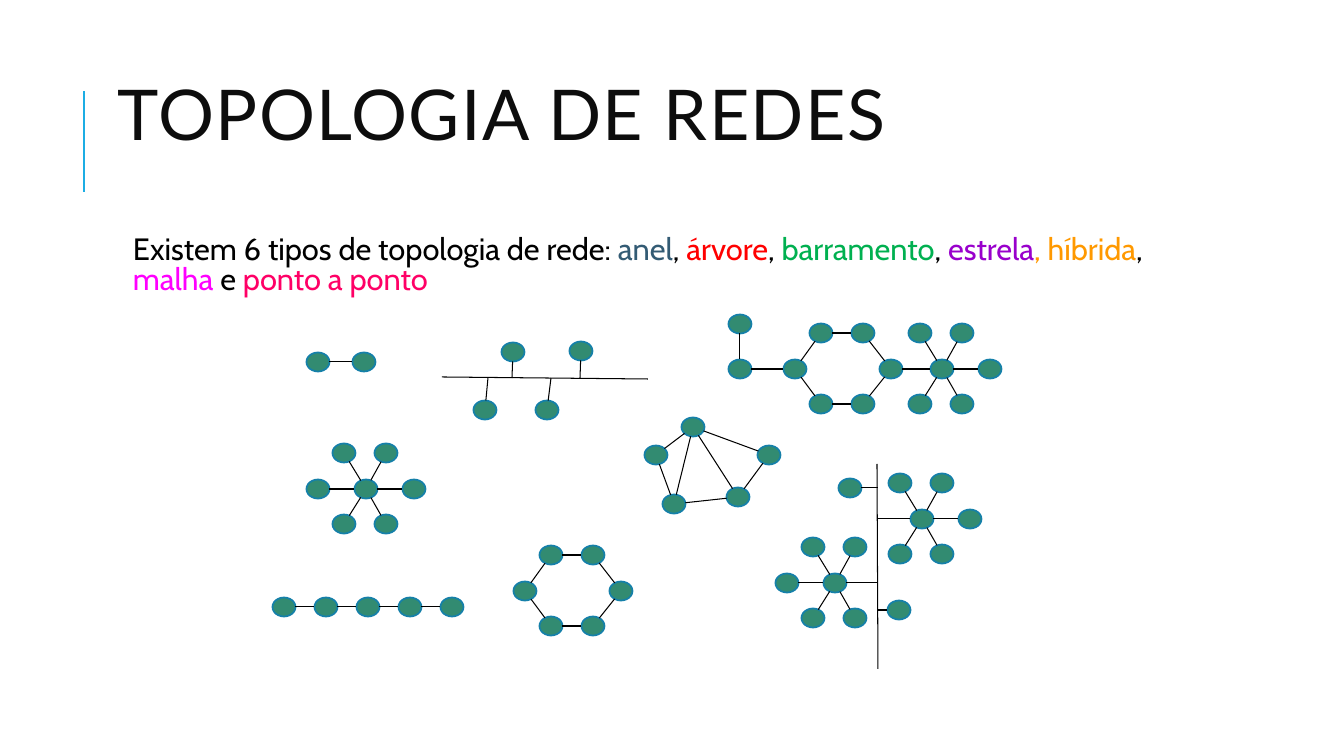
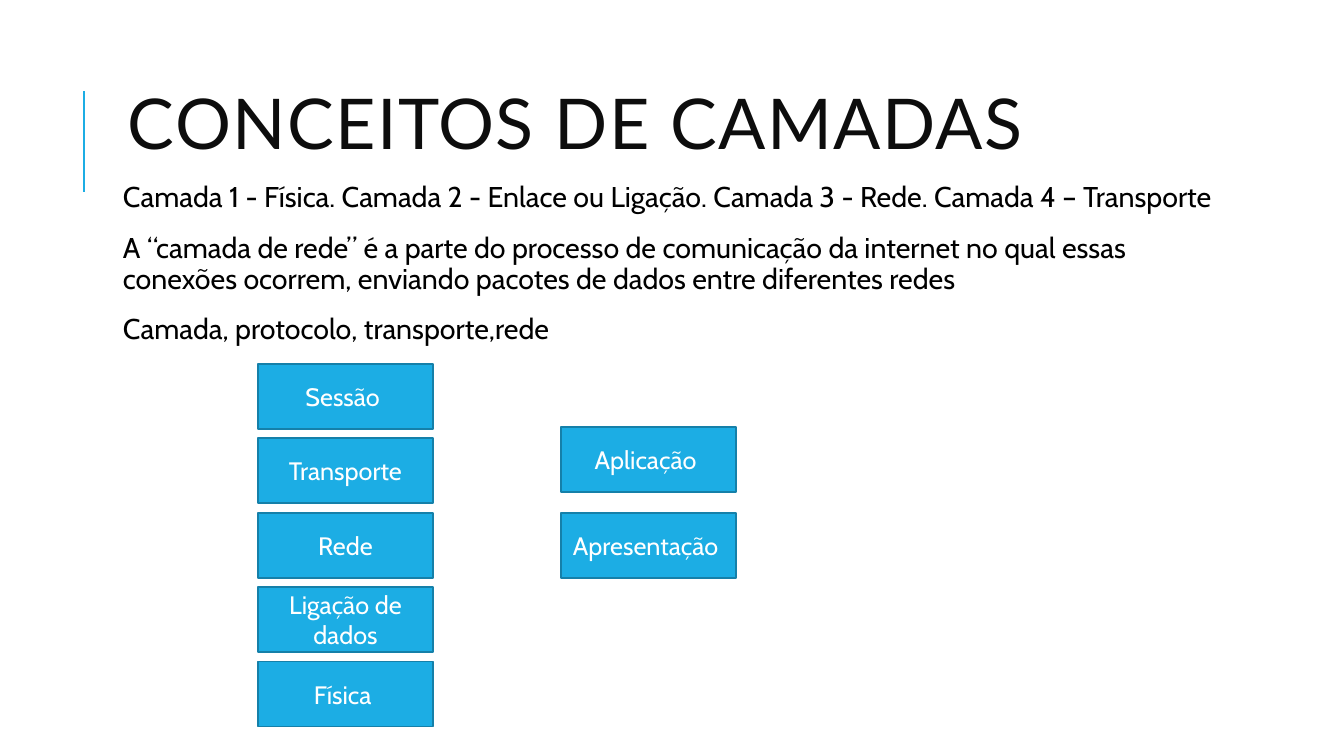
from math import hypot

from lxml import etree
from pptx import Presentation
from pptx.dml.color import RGBColor
from pptx.enum.shapes import MSO_CONNECTOR, MSO_SHAPE
from pptx.enum.text import MSO_ANCHOR, PP_ALIGN
from pptx.oxml.ns import qn
from pptx.util import Pt

STRAIGHT = MSO_CONNECTOR.STRAIGHT
OVAL, RECTANGLE = MSO_SHAPE.OVAL, MSO_SHAPE.RECTANGLE
MIDDLE, CENTER = MSO_ANCHOR.MIDDLE, PP_ALIGN.CENTER

PX = 914400 / 100.8
TITLE_FONT, BODY_FONT = "Lato", "Cabin"
COLORS = {
    "accent": "1CADE4", "outline": "1580A9", "node": "328B71",
    "title": "0D0D0D", "black": "000000", "white": "FFFFFF",
    "blue": "335B74", "red": "FF0000", "green": "00B050",
    "purple": "9900CC", "orange": "FF9900", "magenta": "FF00FF",
    "pink": "FF0066",
}
NODE_WIDTH, NODE_HEIGHT = 23, 19
BOX_WIDTH, BOX_HEIGHT = 175, 65

presentation = Presentation()
presentation.slide_width = round(1344 * PX)
presentation.slide_height = round(756 * PX)
blank_layout = presentation.slide_layouts[6]


def add_line(slide, start, end, color, width):
    line = slide.shapes.add_connector(
        STRAIGHT, *(round(v * PX) for v in (*start, *end)))
    line.line.color.rgb = RGBColor.from_string(COLORS[color])
    line.line.width = Pt(width)
    etree.SubElement(line._element.spPr, qn("a:effectLst"))


def add_run(paragraph, text, font, size, color):
    run = paragraph.add_run()
    run.text = text
    run.font.name = font
    run.font.size = Pt(size)
    run.font.color.rgb = RGBColor.from_string(COLORS[color])
    return run


# Slide content: paragraphs are lists of (text, colour)
pages = [
    {
        "title": "TOPOLOGIA DE REDES", "title_at": (108, 45),
        "body_at": (118, 232), "body_height": 75, "size": 22, "spacing": 0.8,
        "paragraphs": [[
            ("Existem 6 tipos de topologia de rede: ", "black"),
            ("anel", "blue"), (", ", "black"),
            ("árvore", "red"), (", ", "black"),
            ("barramento", "green"), (", ", "black"),
            ("estrela", "purple"), (", híbrida", "orange"), (", ", "black"),
            ("malha", "magenta"), (" e ", "black"),
            ("ponto a ponto", "pink"),
        ]],
    },
    {
        "title": "CONCEITOS DE CAMADAS", "title_at": (118, 54),
        "body_at": (108, 178), "body_height": 181, "size": 20.4, "spacing": 0.9,
        "paragraphs": [
            [("Camada 1 - Física. Camada 2 - Enlace ou Ligação. "
              "Camada 3 - Rede. Camada 4 – Transporte", "black")],
            [("A “camada de rede” é a parte do processo de comunicação da "
              "internet no qual essas conexões ocorrem, enviando pacotes de "
              "dados entre diferentes redes", "black")],
            [("Camada, protocolo, transporte,rede", "black")],
        ],
    },
]

# Accent rule, title and body text of each slide
slides = []
for page in pages:
    slide = presentation.slides.add_slide(blank_layout)
    slides.append(slide)
    add_line(slide, (84, 192), (84, 91), "accent", 1.5)

    left, top = page["title_at"]
    title = slide.shapes.add_textbox(
        *(round(v * PX) for v in (left, top, 1109, 151))).text_frame
    title.word_wrap = True
    title.vertical_anchor = MIDDLE
    title.paragraphs[0].line_spacing = 0.8
    run = add_run(title.paragraphs[0], page["title"], TITLE_FONT, 50, "title")
    run._r.get_or_add_rPr().set("spc", "100")

    left, top = page["body_at"]
    body = slide.shapes.add_textbox(
        *(round(v * PX) for v in (left, top, 1109, page["body_height"]))).text_frame
    body.word_wrap = True
    body.margin_left = round(15 * PX)
    body.margin_top = body.margin_right = body.margin_bottom = round(5 * PX)
    for index, runs in enumerate(page["paragraphs"]):
        paragraph = body.add_paragraph() if index else body.paragraphs[0]
        paragraph.line_spacing = page["spacing"]
        paragraph.space_before = Pt(12)
        paragraph.space_after = Pt(2)
        for text, color in runs:
            add_run(paragraph, text, BODY_FONT, page["size"], color)

topology_slide, layers_slide = slides

# Stars and rings share six places around a centre, clockwise from the left
around = [(-48, 0), (-22, -36), (20, -36), (48, 0), (20, 35), (-22, 35)]
LEFT, RIGHT = around[0], around[3]
nodes, links = [], []

star_hub, upper_hub, lower_hub, hybrid_hub = stars = [
    (366, 489), (922, 519), (835, 583), (942, 369)]
open_sides = [None, LEFT, RIGHT, LEFT]
for hub, open_side in zip(stars, open_sides):
    tips = [(hub[0] + x, hub[1] + y) for x, y in around if (x, y) != open_side]
    nodes += [hub, *tips]
    links += [(hub, tip) for tip in tips]

ring_center, hybrid_center = (573, 591), (843, 369)
for center in (ring_center, hybrid_center):
    ring = [(center[0] + x, center[1] + y) for x, y in around]
    nodes += ring
    links += zip(ring, ring[1:] + ring[:1])

# Point to point, chain and the tail of the hybrid
pair = [(318, 362), (364, 362)]
chain = [(284 + 42 * step, 607) for step in range(5)]
tail = [(740, 324), (740, 369)]
for row in (pair, chain, tail):
    nodes += row
    links += zip(row, row[1:])
hybrid_left, hybrid_right = [
    (hybrid_center[0] + x, hybrid_center[1] + y) for x, y in (LEFT, RIGHT)]
links += [(tail[1], hybrid_left), (hybrid_right, hybrid_hub)]

# Mesh
top, left, right, low_left, low_right = mesh = [
    (693, 427), (656, 455), (769, 455), (674, 504), (738, 497)]
nodes += mesh
links += [(top, other) for other in mesh[1:]]
links += [(left, low_left), (low_left, low_right), (low_right, right)]

# Bus trunk with taps
BUS_Y = 378
links.append(((442, BUS_Y - 1), (648, BUS_Y + 1)))
for x, y, slant in [(485, 410, 3), (547, 410, 4), (513, 352, -1), (581, 351, -1)]:
    nodes.append((x, y))
    links.append(((x, y), (x + slant, BUS_Y)))

# Tree trunk with two single nodes and two stars
TRUNK_X = 878
links.append(((TRUNK_X - 1, 464), (TRUNK_X, 669)))
leaves = [(850, 488), (899, 610)]
nodes += leaves
links += [((x, y), (TRUNK_X, y)) for x, y in (*leaves, upper_hub, lower_hub)]

# Draw the nodes, then the links from rim to rim
for x, y in nodes:
    corner = (x - NODE_WIDTH / 2, y - NODE_HEIGHT / 2)
    node = topology_slide.shapes.add_shape(
        OVAL, *(round(v * PX) for v in (*corner, NODE_WIDTH, NODE_HEIGHT)))
    node.shadow.inherit = False
    node.fill.solid()
    node.fill.fore_color.rgb = RGBColor.from_string(COLORS["node"])
    node.line.color.rgb = RGBColor.from_string(COLORS["outline"])
    node.line.width = Pt(1.25)
for start, end in links:
    run_x, run_y = end[0] - start[0], end[1] - start[1]
    rim = 0.5 / hypot(run_x / NODE_WIDTH, run_y / NODE_HEIGHT)
    first = rim if start in nodes else 0
    last = 1 - rim if end in nodes else 1
    rim_points = [(start[0] + run_x * part, start[1] + run_y * part)
                  for part in (first, last)]
    add_line(topology_slide, *rim_points, "black", 0.75)

# Layer boxes: the left column is evenly stepped, the right one has two boxes
stack = ["Sessão ", "Transporte", "Rede", "Ligação de dados", "Física "]
layers = [(258, 364 + 74.4 * row, label) for row, label in enumerate(stack)]
layers += [(561, 427, "Aplicação "), (561, 513, "Apresentação ")]
for left, top, label in layers:
    box = layers_slide.shapes.add_shape(
        RECTANGLE, *(round(v * PX) for v in (left, top, BOX_WIDTH, BOX_HEIGHT)))
    box.shadow.inherit = False
    box.fill.solid()
    box.fill.fore_color.rgb = RGBColor.from_string(COLORS["accent"])
    box.line.color.rgb = RGBColor.from_string(COLORS["outline"])
    box.line.width = Pt(1.25)
    box.text_frame.word_wrap = True
    box.text_frame.vertical_anchor = MIDDLE
    paragraph = box.text_frame.paragraphs[0]
    paragraph.alignment = CENTER
    add_run(paragraph, label, BODY_FONT, 18, "white")

presentation.save("out.pptx")
